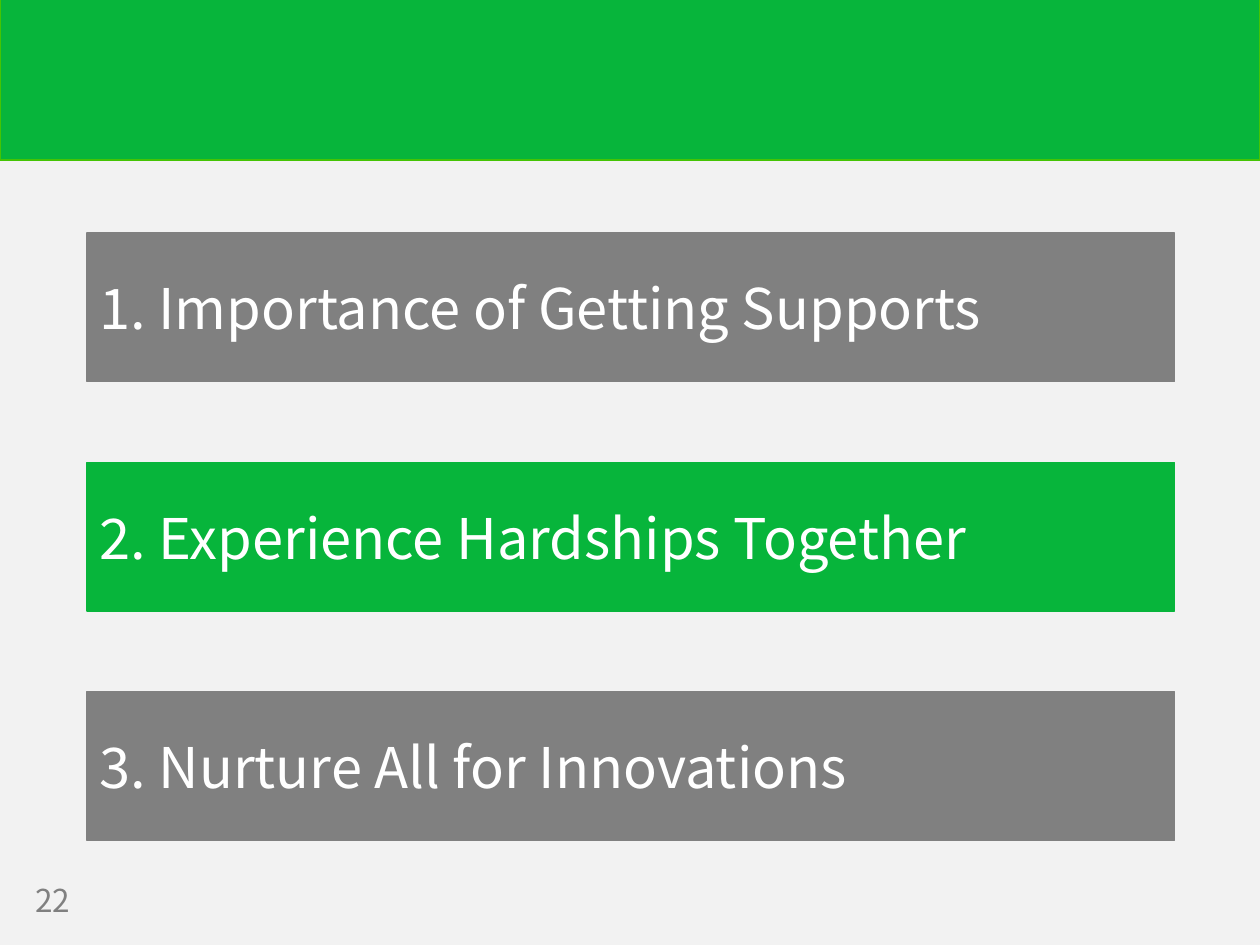
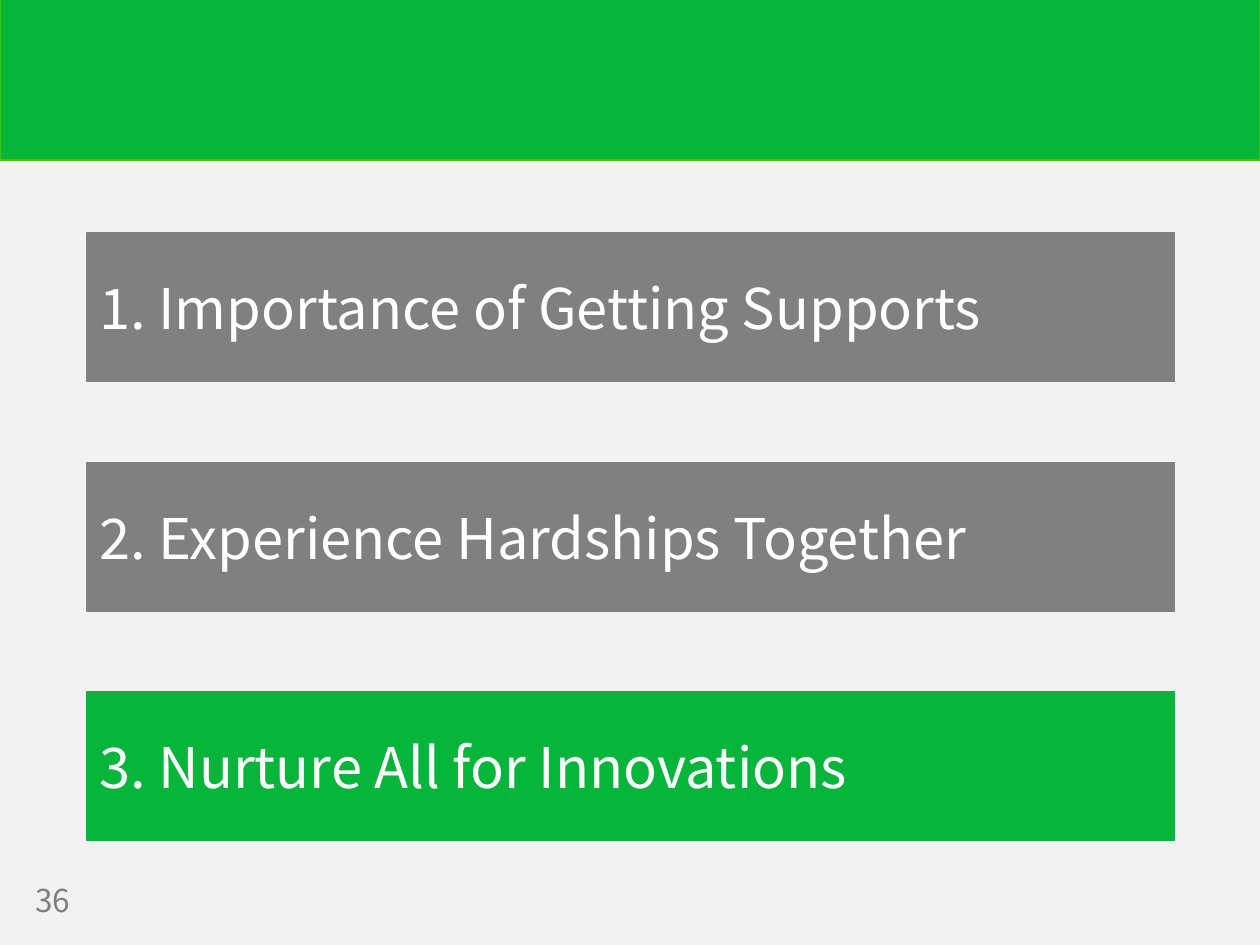
from dataclasses import dataclass

from pptx import Presentation
from pptx.dml.color import RGBColor as RGB
from pptx.enum.shapes import MSO_SHAPE as SHAPE
from pptx.enum.text import MSO_ANCHOR as ANCHOR, PP_ALIGN as ALIGN
from pptx.util import Pt


@dataclass(frozen=True)
class Theme:
    font: str = "Noto Sans CJK JP"
    background: RGB = RGB(0xF2, 0xF2, 0xF2)
    green: RGB = RGB(0x07, 0xB5, 0x3B)
    band_edge: RGB = RGB(0x44, 0xC4, 0x04)
    gray: RGB = RGB(0x80, 0x80, 0x80)
    white: RGB = RGB(0xFF, 0xFF, 0xFF)
    item_size: int = 32
    number_size: int = 18


SLIDE_W, SLIDE_H = 720, 540
ITEM_LEFT, ITEM_TOP, ITEM_W, ITEM_H = 49.7, 133.2, 621.4, 85
ITEM_PITCH = 131

AGENDA = [
    "1. Importance of Getting Supports",
    "2. Experience Hardships Together",
    "3. Nurture All for Innovations",
]
# Page number and index of the highlighted agenda item
PAGES = [("22", 1), ("36", 2)]


class Deck:
    def __init__(self, theme):
        self.theme = theme
        self.prs = Presentation()
        self.prs.slide_width, self.prs.slide_height = Pt(SLIDE_W), Pt(SLIDE_H)
        self.slide = None

    def new_slide(self, number):
        # These slides carry no title, so they use the blank layout
        self.slide = self.prs.slides.add_slide(self.prs.slide_layouts[6])
        fill = self.slide.background.fill
        fill.solid()
        fill.fore_color.rgb = self.theme.background
        self.rect(0, -0.7, SLIDE_W, 92.2, self.theme.green, self.theme.band_edge, 1)
        self.page_number(number)

    def rect(self, left, top, width, height, color, edge, weight):
        sp = self.slide.shapes.add_shape(
            SHAPE.RECTANGLE, Pt(left), Pt(top), Pt(width), Pt(height))
        sp.shadow.inherit = False
        sp.fill.solid()
        sp.fill.fore_color.rgb = color
        sp.line.color.rgb = edge
        sp.line.width = Pt(weight)
        return sp

    def set_text(self, sp, text, size, color):
        tf = sp.text_frame
        for name, value in {"word_wrap": True, "vertical_anchor": ANCHOR.MIDDLE}.items():
            setattr(tf, name, value)
        p = tf.paragraphs[0]
        p.alignment = ALIGN.LEFT
        r = p.add_run()
        r.text = text
        for name, value in {"name": self.theme.font, "size": Pt(size)}.items():
            setattr(r.font, name, value)
        r.font.color.rgb = color

    def page_number(self, number):
        sp = self.slide.shapes.add_textbox(Pt(13), Pt(500.4), Pt(56.9), Pt(28.1))
        self.set_text(sp, number, self.theme.number_size, self.theme.gray)

    def agenda(self, items, current):
        for i, text in enumerate(items):
            color = self.theme.green if i == current else self.theme.gray
            sp = self.rect(ITEM_LEFT, ITEM_TOP + i * ITEM_PITCH, ITEM_W, ITEM_H,
                           color, color, 0.75)
            self.set_text(sp, text, self.theme.item_size, self.theme.white)


def main():
    deck = Deck(Theme())
    # One agenda slide per section
    for number, current in PAGES:
        deck.new_slide(number)
        deck.agenda(AGENDA, current)
    deck.prs.save("out.pptx")


if __name__ == "__main__":
    main()
